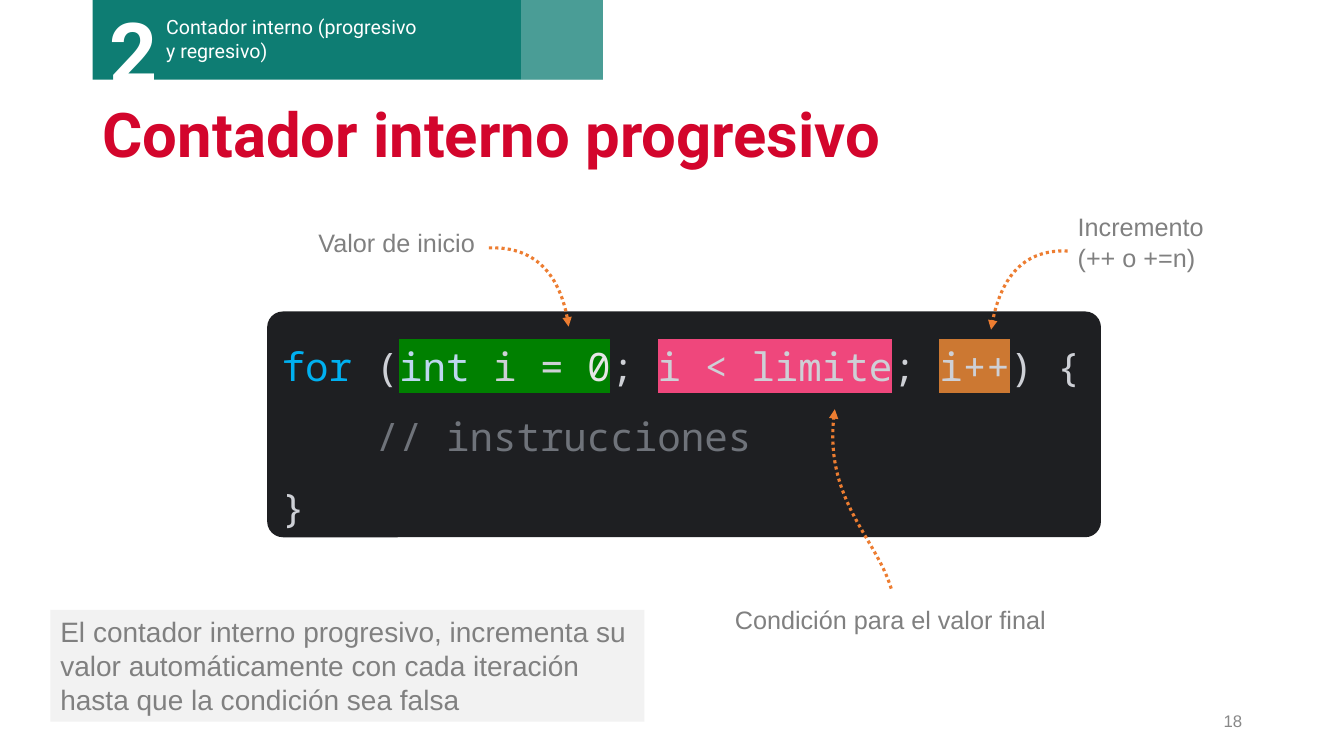
from dataclasses import dataclass

import pptx
import pptx.dml.color
import pptx.enum.dml
import pptx.enum.shapes
import pptx.enum.text
import pptx.oxml
import pptx.oxml.ns
import pptx.util

SHAPES = pptx.enum.shapes.MSO_SHAPE
ANCHOR = pptx.enum.text.MSO_ANCHOR
ALIGN = pptx.enum.text.PP_ALIGN


@dataclass(frozen=True)
class Theme:
    display: str = "Roboto"
    body: str = "Arial"
    mono: str = "Noto Sans Mono"
    white: str = "FFFFFF"
    teal: str = "0E7D73"
    red: str = "D3052C"
    gray: str = "808080"
    page_gray: str = "888888"
    note_fill: str = "F2F2F2"
    arrow: str = "ED7D31"
    code_fill: str = "1E1F22"
    code: str = "CED0D6"
    keyword: str = "00B0F0"
    type_name: str = "BDD7EE"
    digit: str = "E7E6E6"
    comment: str = "6F737A"
    start: str = "008000"
    condition: str = "EF477C"
    step: str = "CC7832"
    number_size: int = 60
    title_size: int = 44
    code_size: int = 28
    note_size: int = 20
    label_size: int = 18
    section_size: int = 14
    page_size: int = 12


@dataclass(frozen=True)
class Box:
    left: float
    top: float
    width: float
    height: float

    def point(self, x, y):
        """Inches of a point given in percent of this box."""
        return self.left + self.width * x / 100, self.top + self.height * y / 100

    def region(self, x, y, width, height):
        """A box given in percent of this box."""
        return Box(*self.point(x, y), self.width * width / 100, self.height * height / 100)

    def lengths(self):
        return [pptx.util.Inches(v) for v in (self.left, self.top, self.width, self.height)]


THEME = Theme()
PAGE = Box(0, 0, 13.33, 7.5)


def rgb(color):
    return pptx.dml.color.RGBColor.from_string(color)


def drawing_element(tag, attributes=""):
    namespace = pptx.oxml.ns.nsdecls("a")
    return pptx.oxml.parse_xml(f"<a:{tag} {namespace} {attributes}/>")


def add_run(paragraph, text, font, size, color, bold=False, highlight=None):
    run = paragraph.add_run()
    run.text = text
    run.font.name = font
    run.font.size = pptx.util.Pt(size)
    run.font.bold = bold
    run.font.color.rgb = rgb(color)
    if highlight:
        marker = drawing_element("highlight")
        marker.append(drawing_element("srgbClr", f'val="{highlight}"'))
        run.font.fill._xPr.find(pptx.oxml.ns.qn("a:solidFill")).addnext(marker)


def write(shape, text, font, size, color, bold=False, wrap=True,
          anchor=ANCHOR.TOP, align=ALIGN.LEFT, spacing=None):
    shape.text_frame.word_wrap = wrap
    shape.text_frame.vertical_anchor = anchor
    paragraph = shape.text_frame.paragraphs[0]
    paragraph.alignment = align
    paragraph.line_spacing = spacing
    for index, line in enumerate(text.split("\n")):
        if index:
            paragraph.add_line_break()
        add_run(paragraph, line, font, size, color, bold)


def add_text(slide, box, *content, **options):
    write(slide.shapes.add_textbox(*box.lengths()), *content, **options)


def add_block(slide, box, color, kind=SHAPES.RECTANGLE):
    shape = slide.shapes.add_shape(kind, *box.lengths())
    shape.shadow.inherit = False
    shape.fill.solid()
    shape.fill.fore_color.rgb = rgb(color)
    shape.line.fill.background()
    return shape


def add_curved_arrow(slide, box, points):
    """Dotted Bézier arrow through four points in percent of the box."""
    start, *others = [tuple(map(pptx.util.Inches, box.point(*p))) for p in points]
    builder = slide.shapes.build_freeform(*start)
    builder.add_line_segments(others, close=False)
    arrow = builder.convert_to_shape()
    segments = list(arrow._element.iter(pptx.oxml.ns.qn("a:lnTo")))
    curve = drawing_element("cubicBezTo")
    segments[0].addprevious(curve)
    for segment in segments:
        curve.append(segment[0])
        segment.getparent().remove(segment)
    arrow.shadow.inherit = False
    arrow.fill.background()
    arrow.line.color.rgb = rgb(THEME.arrow)
    arrow.line.width = pptx.util.Pt(2.25)
    arrow.line.dash_style = pptx.enum.dml.MSO_LINE.ROUND_DOT
    arrow.line._get_or_add_ln().append(drawing_element("tailEnd", 'type="triangle"'))


def add_section_header(slide, box, number, name):
    add_block(slide, box, THEME.teal)
    add_text(slide, box.region(12.45, 13.75, 54.35, 71.25), name,
             THEME.display, THEME.section_size, THEME.white)
    add_text(slide, box.region(1.4, -5, 22.1, 138.75), number,
             THEME.display, THEME.number_size, THEME.white, bold=True)
    tint = add_block(slide, box.region(84, 0, 16, 100), THEME.white)
    color = next(tint._element.spPr.iter(pptx.oxml.ns.qn("a:srgbClr")))
    color.append(drawing_element("alpha", 'val="25000"'))


def add_code(slide, box):
    panel = add_block(slide, box, THEME.code_fill, SHAPES.ROUNDED_RECTANGLE)
    panel.adjustments[0] = 0.07
    panel.text_frame.word_wrap = False
    panel.text_frame.vertical_anchor = ANCHOR.MIDDLE
    paragraph = panel.text_frame.paragraphs[0]
    paragraph.alignment = ALIGN.LEFT
    paragraph.line_spacing = 1.5
    lines = [
        [("for ", THEME.keyword, None), ("(", THEME.code, None),
         ("int", THEME.type_name, THEME.start), (" i = ", THEME.code, THEME.start),
         ("0", THEME.digit, THEME.start), ("; ", THEME.code, None),
         ("i < limite", THEME.code, THEME.condition), ("; ", THEME.code, None),
         ("i++", THEME.code, THEME.step), (") {", THEME.code, None)],
        [("    // instrucciones", THEME.comment, None)],
        [("}", THEME.code, None)],
    ]
    for index, line in enumerate(lines):
        if index:
            paragraph.add_line_break()
        for text, color, highlight in line:
            add_run(paragraph, text, THEME.mono, THEME.code_size, color, highlight=highlight)


def add_callouts(slide, box):
    """Labels and arrows, placed in percent of the code panel."""
    callouts = [
        ("Valor de inicio", (4.96, -39.29, 21.64, 17.86),
         [(26.6, -28.13), (32.65, -29.02), (35.55, -11.61), (36.15, 6.7)]),
        ("Incremento\n(++ o +=n)", (96.01, -46.43, 17.65, 31.7),
         [(96.01, -26.79), (90.21, -27.68), (87.55, -10.27), (86.82, 8.04)]),
        ("Condición para el valor final", (54.9, 127.68, 40.15, 17.86),
         [(74.85, 122.77), (73.04, 100.45), (66.51, 82.59), (68.08, 43.3)]),
    ]
    for label, place, points in callouts:
        add_text(slide, box.region(*place), label, THEME.body, THEME.label_size,
                 THEME.gray, wrap=False)
        add_curved_arrow(slide, box, points)


def build_counter_slide(slide, page):
    add_section_header(slide, page.region(6.9, -0.13, 37.96, 10.67), "2",
                       "Contador interno (progresivo y regresivo)")
    add_text(slide, page.region(6.9, 12.4, 86.27, 11.47), "Contador interno progresivo",
             THEME.display, THEME.title_size, THEME.red, bold=True,
             anchor=ANCHOR.MIDDLE, spacing=0.9)
    add_text(slide, page.region(70.67, 92.67, 22.5, 5.33), "18", THEME.body,
             THEME.page_size, THEME.page_gray, anchor=ANCHOR.MIDDLE, align=ALIGN.RIGHT)
    code_box = page.region(19.88, 41.2, 62.04, 29.87)
    add_code(slide, code_box)
    add_callouts(slide, code_box)
    note = add_block(slide, page.region(3.75, 80.67, 44.19, 14.8), THEME.note_fill)
    write(note, "El contador interno progresivo, incrementa su valor automáticamente "
          "con cada iteración hasta que la condición sea falsa",
          THEME.body, THEME.note_size, THEME.gray)


def main():
    presentation = pptx.Presentation()
    presentation.slide_width = pptx.util.Inches(PAGE.width)
    presentation.slide_height = pptx.util.Inches(PAGE.height)
    slide = presentation.slides.add_slide(presentation.slide_layouts[6])
    build_counter_slide(slide, PAGE)
    presentation.save("out.pptx")


if __name__ == "__main__":
    main()
